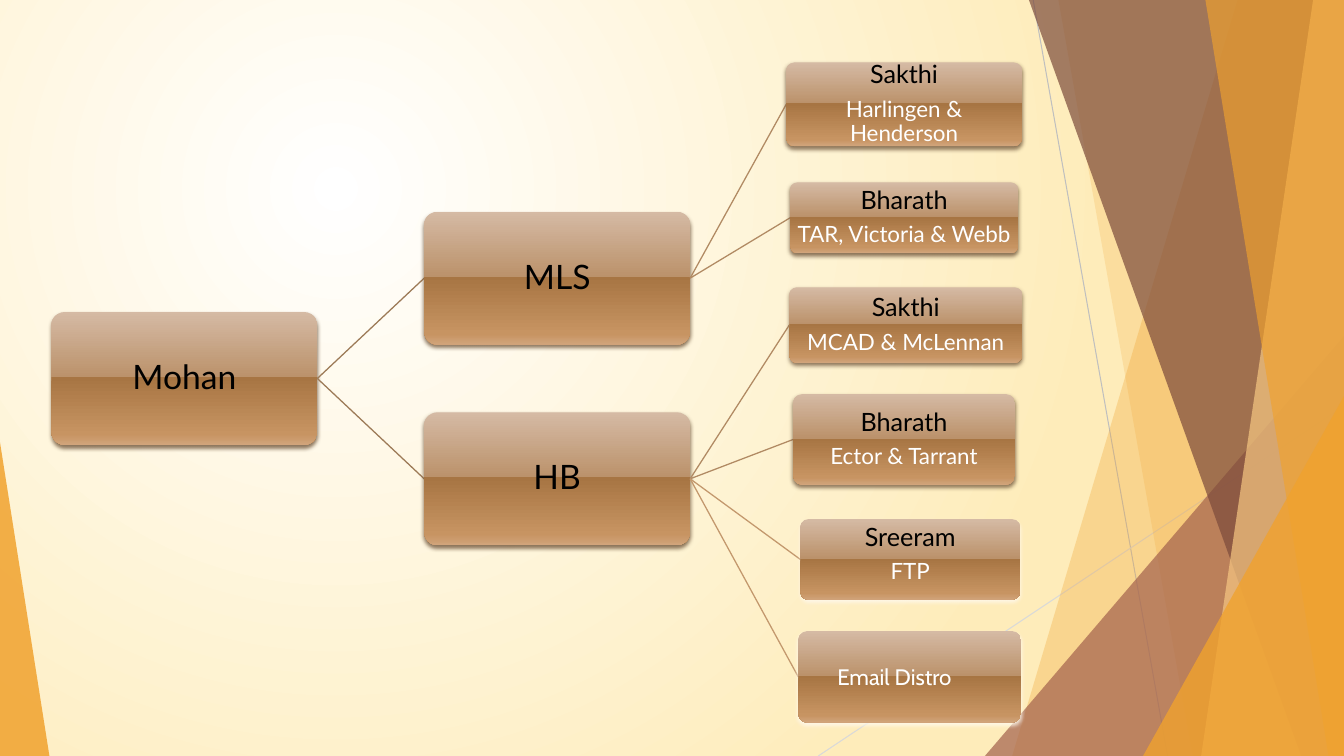
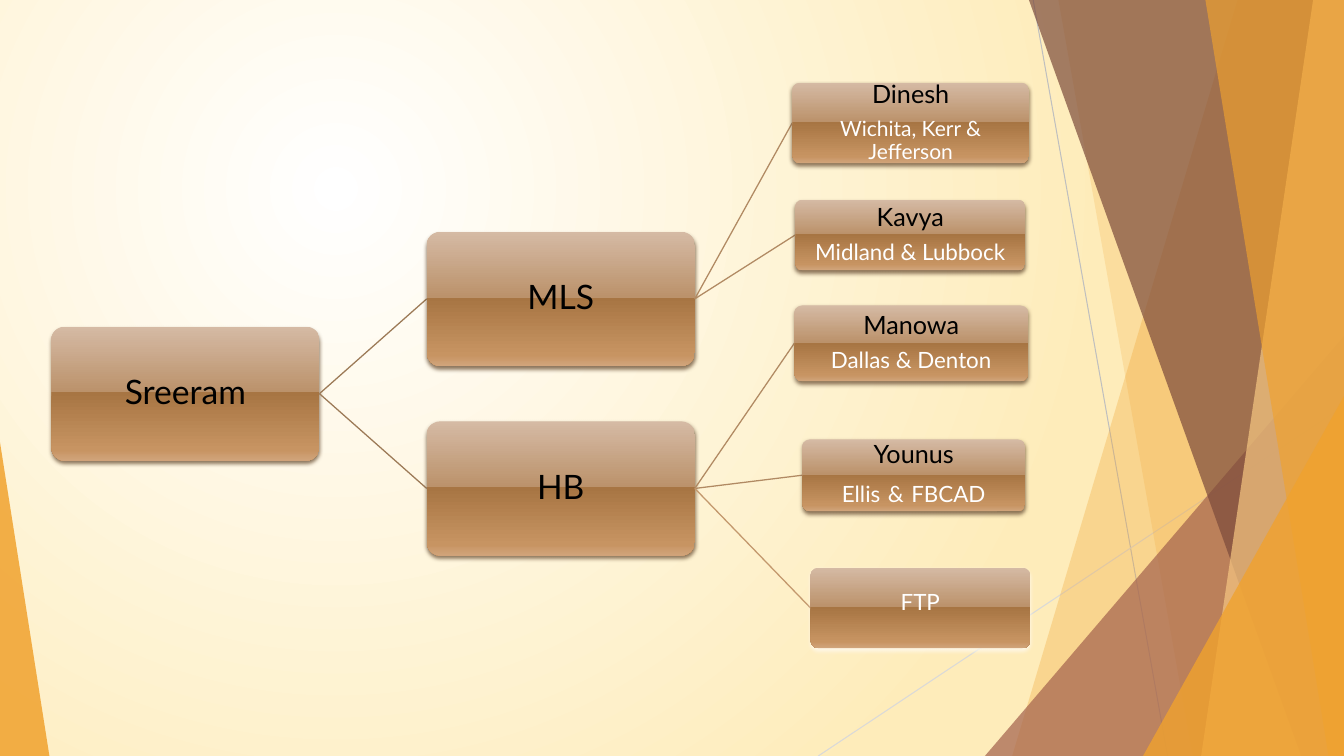
from lxml import etree
from pptx import Presentation
from pptx.dml.color import RGBColor
from pptx.enum.shapes import MSO_CONNECTOR, MSO_SHAPE
from pptx.enum.text import MSO_ANCHOR, PP_ALIGN
from pptx.oxml.ns import qn
from pptx.util import Pt

WIDTH, HEIGHT = 960, 540
FONT = "Lato"
BLACK, WHITE = "000000", "FFFFFF"
GOLD, RUST, UMBER, SAND = "F0A22E", "A5644E", "7C4B3B", "F6C782"
DARK_SHADOW, LIGHT_SHADOW = "785E43", "FFFBF0"
ROOT_LINE, BRANCH_LINE, ADDED_LINE = "9C7A57", "B18A63", "C3986D"
BACKDROP_STOPS = [(0, WHITE), (100, "FEECBA")]
BOX_STOPS = [(0, "D5BAA4"), (49, "BB926B"), (49, "A77543"), (92, "C79462"), (100, "D1A47B")]

THIN_LINES = [((738, 0), (834, 540), "BFBFBF"), ((960, 290), (584.5, 540), "D9D9D9")]
FACETS = [
    ("band", (884, 723), GOLD, 30),
    ("band", (756, 852), GOLD, 20),
    ("triangle", (703.5, 240, 256.5, 300, 1), RUST, 72),
    ("band", (735, 929.5), UMBER, 70),
    ("band", (938, 858), SAND, 70),
    ("band", (861, 949), GOLD, 65),
    ("triangle", (816.5, 283, 143.5, 257, 1), GOLD, 80),
    ("triangle", (0, 316, 35.3, 224, 0), GOLD, 85),
]

CHARTS = [
    {
        "root": "Mohan", "left": 36.7, "branch_left": 303, "size": (190, 95),
        "branches": [
            ("MLS", 151.2, [
                ("Sakthi", "Harlingen & Henderson", 16, (561.6, 44.6, 168.5, 59.8)),
                ("Bharath", "TAR, Victoria & Webb", 16, (564.5, 130.3, 162.7, 50.4)),
            ], []),
            ("HB", 294.5, [
                ("Sakthi", "MCAD & McLennan", 16, (563.8, 205.2, 166.3, 54)),
                ("Bharath", "Ector & Tarrant", 16, (566.6, 281.5, 158.4, 64.8)),
            ], [
                ("Sreeram", "FTP", 16, (571.7, 370.8, 157, 57.6)),
                ("", "Email Distro", 16, (570.2, 450.7, 159.1, 65.5)),
            ]),
        ],
    },
    {
        "root": "Sreeram", "left": 36.7, "branch_left": 304.8, "size": (191.5, 95.8),
        "branches": [
            ("MLS", 165.6, [
                ("Dinesh", "Wichita, Kerr & Jefferson", 15, (565.9, 59, 169.2, 57.6)),
                ("Kavya", "Midland & Lubbock", 16, (568.1, 142.6, 164.2, 50.4)),
            ], []),
            ("HB", 301, [
                ("Manowa", "Dallas & Denton", 16, (567.4, 218.2, 167, 54)),
                ("Younus", [("Ellis", 16), (" ", 21), ("&", 16), (" ", 21), ("FBCAD", 16)], 16,
                 (573.1, 313.9, 159.1, 51.1)),
            ], [
                ("", "FTP", 16, (578.9, 405.4, 157, 57.6)),
            ]),
        ],
    },
]


def color(value):
    return RGBColor.from_string(value)


def set_gradient(holder, stops, radial=False):
    gradient = etree.Element(qn("a:gradFill"), rotWithShape="1")
    stop_list = etree.SubElement(gradient, qn("a:gsLst"))
    for position, value in stops:
        stop = etree.SubElement(stop_list, qn("a:gs"), pos=str(position * 1000))
        etree.SubElement(stop, qn("a:srgbClr"), val=value)
    if radial:
        route = etree.SubElement(gradient, qn("a:path"), path="circle")
        etree.SubElement(route, qn("a:fillToRect"), l="50000", t="50000", r="100000", b="100000")
    else:
        etree.SubElement(gradient, qn("a:lin"), ang="5400000", scaled="0")
    solid = holder.find(qn("a:solidFill"))
    holder.replace(solid, gradient)


def add_alpha(color_element, percent):
    etree.SubElement(color_element, qn("a:alpha"), val=str(percent * 1000))


def add_line(page, start, end, value, width):
    points = [Pt(number) for number in (*start, *end)]
    line = page.shapes.add_connector(MSO_CONNECTOR.STRAIGHT, *points)
    line.line.color.rgb = color(value)
    line.line.width = Pt(width)
    etree.SubElement(line.element.spPr, qn("a:effectLst"))
    return line


def add_facet(page, kind, geometry, value, opacity):
    if kind == "band":
        top_x, bottom_x = geometry
        builder = page.shapes.build_freeform(Pt(top_x), 0)
        corners = [(WIDTH, 0), (WIDTH, HEIGHT), (bottom_x, HEIGHT)]
        builder.add_line_segments([(Pt(x), Pt(y)) for x, y in corners])
        facet = builder.convert_to_shape()
    else:
        *frame, apex = geometry
        facet = page.shapes.add_shape(MSO_SHAPE.ISOSCELES_TRIANGLE, *map(Pt, frame))
        facet.adjustments[0] = apex
    facet.shadow.inherit = False
    facet.fill.solid()
    facet.fill.fore_color.rgb = color(value)
    add_alpha(facet.element.spPr.find(qn("a:solidFill"))[0], opacity)
    facet.line.fill.background()
    return facet


def build_backdrop(layout, page):
    layout.background.fill.solid()
    set_gradient(layout.element.find(".//" + qn("p:bgPr")), BACKDROP_STOPS, radial=True)
    parts = [add_line(page, *line, 0.75) for line in THIN_LINES]
    parts += [add_facet(page, *facet) for facet in FACETS]
    for part in parts:
        layout.shapes.element.append(part.element)


def add_box(page, frame, lines, margin, shadow_color=DARK_SHADOW, bottom_margin=None):
    box = page.shapes.add_shape(MSO_SHAPE.ROUNDED_RECTANGLE, *map(Pt, frame))
    box.adjustments[0] = 0.1
    box.fill.solid()
    set_gradient(box.element.spPr, BOX_STOPS)
    box.line.fill.background()
    box.shadow.inherit = False
    effects = box.element.spPr.find(qn("a:effectLst"))
    shadow = etree.SubElement(effects, qn("a:outerShdw"), blurRad=str(Pt(3.1)), dist=str(Pt(2)),
                              dir="5400000", algn="ctr", rotWithShape="0")
    add_alpha(etree.SubElement(shadow, qn("a:srgbClr"), val=shadow_color), 83)
    frame_text = box.text_frame
    frame_text.word_wrap = True
    frame_text.vertical_anchor = MSO_ANCHOR.MIDDLE
    frame_text.margin_left = frame_text.margin_right = frame_text.margin_top = Pt(margin)
    frame_text.margin_bottom = Pt(bottom_margin or margin)
    for index, (spans, size, value) in enumerate(lines):
        para = frame_text.add_paragraph() if index else frame_text.paragraphs[0]
        para.alignment = PP_ALIGN.CENTER
        para.line_spacing = 0.9
        para.space_after = Pt(size * 0.35)
        for text, span_size in [(spans, size)] if isinstance(spans, str) else spans:
            span = para.add_run()
            span.text = text
            span.font.name = FONT
            span.font.size = Pt(span_size)
            span.font.color.rgb = color(value)
    return box


def right_middle(frame):
    left, top, width, height = frame
    return left + width, top + height / 2


def left_middle(frame):
    left, top, width, height = frame
    return left, top + height / 2


def add_leaf(page, parent, leaf, added):
    name, detail, size, frame = leaf
    lines = [(name, 18, BLACK)] if name else []
    lines.append((detail, size, WHITE))
    add_line(page, right_middle(parent), left_middle(frame), ADDED_LINE if added else BRANCH_LINE, 0.9)
    if not added:
        add_box(page, frame, lines, 0.8)
    elif detail == "Email Distro":
        box = add_box(page, frame, lines, 0.8, LIGHT_SHADOW)
        para = box.text_frame.paragraphs[0]
        para.alignment = PP_ALIGN.LEFT
        para.line_spacing = 1.0
        para.space_after = Pt(0)
        para.runs[0].font.name = "Cabin"
        box.text_frame.margin_left = Pt(26)
    else:
        add_box(page, frame, lines, 0.8, LIGHT_SHADOW, 8)


def build_chart(page, chart):
    branches = chart["branches"]
    root_top = sum(top for _, top, _, _ in branches) / len(branches)
    root = (chart["left"], root_top, *chart["size"])
    add_box(page, root, [(chart["root"], 24, BLACK)], 1.2)
    for name, top, leaves, added_leaves in branches:
        branch = (chart["branch_left"], top, *chart["size"])
        add_line(page, right_middle(root), left_middle(branch), ROOT_LINE, 0.9)
        add_box(page, branch, [(name, 24, BLACK)], 1.2)
        for leaf in leaves:
            add_leaf(page, branch, leaf, False)
        for leaf in added_leaves:
            add_leaf(page, branch, leaf, True)


def main():
    deck = Presentation()
    deck.slide_width, deck.slide_height = Pt(WIDTH), Pt(HEIGHT)
    layout = deck.slide_layouts[6]
    pages = [deck.slides.add_slide(layout) for _ in CHARTS]
    build_backdrop(layout, pages[0])
    for page, chart in zip(pages, CHARTS):
        build_chart(page, chart)
    deck.save("out.pptx")


if __name__ == "__main__":
    main()
